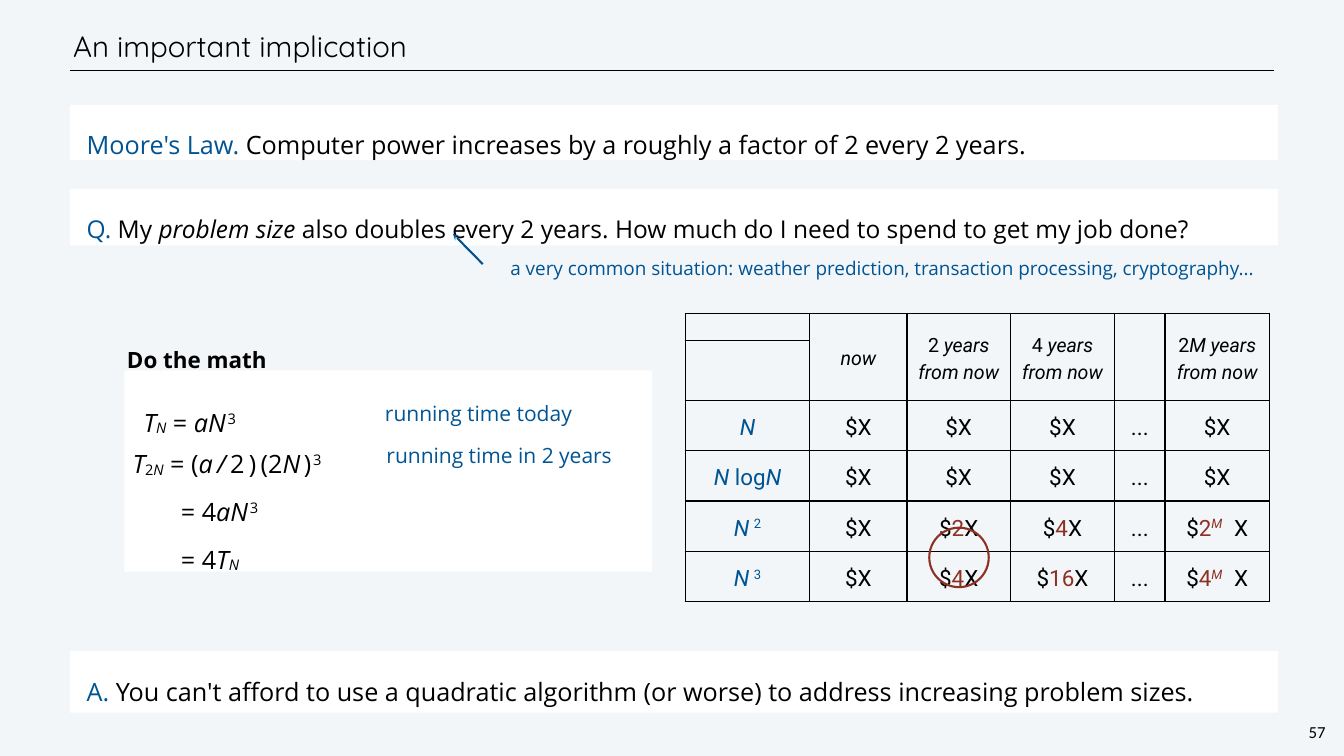
from lxml.etree import SubElement
from pptx import Presentation
from pptx.dml.color import RGBColor
from pptx.enum.shapes import MSO_CONNECTOR as Connector, MSO_SHAPE as Shape
from pptx.enum.text import MSO_ANCHOR as Anchor, MSO_AUTO_SIZE as AutoSize, PP_ALIGN as Align
from pptx.oxml import parse_xml
from pptx.oxml.ns import nsdecls, qn
from pptx.util import Inches, Pt

THEME = {
    "background": "F3F6F9", "panel": "FFFFFF", "ink": "000000",
    "blue": "005493", "red": "8D3124",
    "heading": "Quicksand", "body": "Open Sans", "grid": "Roboto", "number": "Calibri",
    "title": 42, "statement": 36, "question": 35, "subhead": 32, "cell": 32,
    "label": 30, "header": 28, "remark": 27, "page": 24,
}

# Each run is (text, flags, letter spacing in points); flags are
# i italic, b bold, B blue, R red, ^ superscript, _ subscript
TITLE = [("An important implication",)]
STATEMENTS = [  # top, height, type size, runs
    (2.08, 1.1, "statement", [
        ("Moore's Law. ", "B"),
        ("Computer power increases by a roughly a factor of 2 every 2 years.",)]),
    (3.75, 1.12, "question", [
        ("Q. ", "B"), ("My ",), ("problem size", "i"),
        (" also doubles every 2 years. How much do I need to spend to get my job done?",)]),
    (12.92, 1.22, "statement", [
        ("A. ", "B"),
        ("You can't afford to use a quadratic algorithm (or worse) "
         "to address increasing problem sizes.",)]),
]
REMARK = [("a very common situation: weather prediction, transaction processing, "
           "cryptography...", "B")]
FORMULAS = [  # left, top, width, runs
    (2.79, 7.85, 2.24, [("T", "i"), ("N", "i_"), (" = ",), ("a", "i"),
                        ("N", "i", 2.5), ("3", "^")]),
    (2.57, 8.68, 4.39, [("T", "i"), ("2", "_"), ("N", "i_"), (" = (",), ("a/", "i", 6.1),
                        ("2)", "", 6.1), ("(2",), ("N", "i", 5.4), (")", "", 2.5), ("3", "^")]),
    (3.53, 9.62, 1.84, [("= 4",), ("a", "i"), ("N", "i", 2.5), ("3", "^")]),
    (3.53, 10.57, 1.47, [("= 4",), ("T", "i"), ("N", "i_")]),
]
FORMULA_LABELS = [
    (7.58, 7.89, 3.99, "running time today"),
    (7.61, 8.72, 4.84, "running time in 2 years"),
]
FROM_NOW = " years from now"
HEADERS = [
    [], [("now", "i")], [("2",), (FROM_NOW, "i")], [("4",), (FROM_NOW, "i")],
    [], [("2",), ("M" + FROM_NOW, "i")],
]


def cost(factor="", exponent=""):
    if not factor:
        return [("$X",)]
    power = [(exponent, "iR^", 16.6)] if exponent else []
    return [("$",), (factor, "R"), *power, ("X",)]


def power_of_n(exponent):
    return [("N", "iB", 6.4), (exponent, "B^")]


DOTS = [("...",)]
COST_ROWS = [
    [[("N", "iB")], cost(), cost(), cost(), DOTS, cost()],
    [[("N", "iB"), (" log", "B"), ("N", "iB")], cost(), cost(), cost(), DOTS, cost()],
    [power_of_n("2"), cost(), cost("2"), cost("4"), DOTS, cost("2", "M")],
    [power_of_n("3"), cost(), cost("4"), cost("16"), DOTS, cost("4", "M")],
]
COLUMN_WIDTHS = [2.47, 1.93, 2.05, 2.07, 1, 2.07]
ROW_HEIGHTS = [0.54, 1.15] + [1] * len(COST_ROWS)


def colour(key):
    return RGBColor.from_string(THEME[key])


def write(frame, runs, font, size, leading, before=0, align=Align.LEFT):
    paragraph = frame.paragraphs[0]
    paragraph.alignment = align
    paragraph.line_spacing = leading
    paragraph.space_before = Pt(before)
    for text, *style in runs:
        flags = style[0] if style else ""
        run = paragraph.add_run()
        run.text = text
        run.font.name, run.font.size = THEME[font], Pt(THEME[size])
        run.font.italic, run.font.bold = "i" in flags, "b" in flags
        run.font.color.rgb = colour("blue" if "B" in flags else "red" if "R" in flags else "ink")
        properties = run._r.get_or_add_rPr()
        if "^" in flags or "_" in flags:
            properties.set("baseline", "32000" if "^" in flags else "-6000")
        if len(style) > 1:
            properties.set("spc", str(round(style[1] * 100)))


def set_margins(target, inset):
    target.margin_left = target.margin_right = Inches(inset)
    target.margin_top = target.margin_bottom = Inches(inset)


def add_text(slide, box, runs, font, size, leading, before=0, align=Align.LEFT,
             wrap=False, inset=0.06):
    frame = slide.shapes.add_textbox(*map(Inches, box)).text_frame
    set_margins(frame, inset)
    frame.word_wrap = wrap
    write(frame, runs, font, size, Pt(leading), before, align)
    return frame


def add_panel(slide, box):
    panel = slide.shapes.add_shape(Shape.RECTANGLE, *map(Inches, box))
    panel.shadow.inherit = False
    panel.fill.solid()
    panel.fill.fore_color.rgb = colour("panel")
    panel.line.fill.background()
    return panel


def add_line(slide, start, end, ink, width):
    line = slide.shapes.add_connector(Connector.STRAIGHT, *map(Inches, start + end))
    line.line.color.rgb = colour(ink)
    line.line.width = Pt(width)
    SubElement(line._element.spPr, qn("a:effectLst"))
    return line


def style_cell(cell, inset):
    set_margins(cell, inset)
    cell.vertical_anchor = Anchor.MIDDLE
    cell.fill.background()
    for index, side in enumerate("LRTB"):
        cell._tc.get_or_add_tcPr().insert(index, parse_xml(
            f'<a:ln{side} {nsdecls("a")} w="{Pt(2)}"><a:solidFill>'
            f'<a:srgbClr val="{THEME["ink"]}"/></a:solidFill></a:ln{side}>'))


def add_cost_table(slide):
    table = slide.shapes.add_table(
        len(ROW_HEIGHTS), len(COLUMN_WIDTHS), Inches(13.6), Inches(6.22),
        Inches(sum(COLUMN_WIDTHS)), Inches(sum(ROW_HEIGHTS))).table
    table.first_row = table.horz_banding = False
    for column, width in zip(table.columns, COLUMN_WIDTHS):
        column.width = Inches(width)
    for row, height in zip(table.rows, ROW_HEIGHTS):
        row.height = Inches(height)
    # Headers span two rows, except over the growth-rate column
    for c, runs in enumerate(HEADERS):
        cell = table.cell(0, c)
        if c:
            cell.merge(table.cell(1, c))
        else:
            style_cell(table.cell(1, c), 0.03)
        style_cell(cell, 0.03)
        write(cell.text_frame, runs, "grid", "header", 1.2, align=Align.CENTER)
    for r, row in enumerate(COST_ROWS, start=2):
        for c, runs in enumerate(row):
            style_cell(table.cell(r, c), 0.04)
            write(table.cell(r, c).text_frame, runs, "grid", "cell", Pt(44), align=Align.CENTER)


def main():
    deck = Presentation()
    deck.slide_width, deck.slide_height = Inches(26.67), Inches(15)
    slide = deck.slides.add_slide(deck.slide_layouts[5])
    slide.background.fill.solid()
    slide.background.fill.fore_color.rgb = colour("background")

    # Title and its rule
    title = slide.shapes.title
    title.left, title.top, title.width, title.height = map(Inches, (1.39, 0.42, 22.62, 0.99))
    set_margins(title.text_frame, 0.06)
    title.text_frame.vertical_anchor = Anchor.MIDDLE
    title.text_frame.auto_size = AutoSize.NONE
    write(title.text_frame, TITLE, "heading", "title", Pt(50), 3)
    add_line(slide, (1.39, 1.4), (25.28, 1.4), "ink", 1)

    # Law, question and answer
    for top, height, size, runs in STATEMENTS:
        frame = add_panel(slide, (1.39, top, 23.97, height)).text_frame
        set_margins(frame, 0.33)
        frame.vertical_anchor = Anchor.TOP
        frame.word_wrap = True
        write(frame, runs, "body", size, Pt(THEME[size] + 19), 6)

    # Worked formulas
    add_panel(slide, (2.47, 7.35, 10.47, 3.99))
    add_text(slide, (2.46, 6.64, 3.61, 0.64), [("Do the math", "b")],
             "body", "subhead", 50, 20, wrap=True)
    for left, top, width, runs in FORMULAS:
        add_text(slide, (left, top, width, 0.71), runs, "body", "statement", 55, 6)
    for left, top, width, label in FORMULA_LABELS:
        add_text(slide, (left, top, width, 0.6), [(label, "B")], "body", "label", 36, 2)

    # Cost table with its highlighted entry
    add_cost_table(slide)
    ring = slide.shapes.add_shape(Shape.OVAL, *map(Inches, (18.44, 10.47, 1.18, 1.18)))
    ring.shadow.inherit = False
    ring.fill.background()
    ring.line.color.rgb = colour("red")
    ring.line.width = Pt(3)

    # Remark pointing at the question
    remark = add_text(slide, (9.6, 4.99, 15.72, 0.56), REMARK, "body", "remark", 35, 2,
                      Align.CENTER)
    remark.margin_left = Inches(0.15)
    pointer = add_line(slide, (8.99, 4.64), (9.58, 5.24), "blue", 3)
    SubElement(pointer.line._get_or_add_ln(), qn("a:headEnd"), type="stealth")

    # Page number
    add_text(slide, (25.92, 14.29, 0.43, 0.47), [("57",)], "number", "page", 28,
             align=Align.CENTER, inset=0.04)
    deck.save("out.pptx")


if __name__ == "__main__":
    main()
